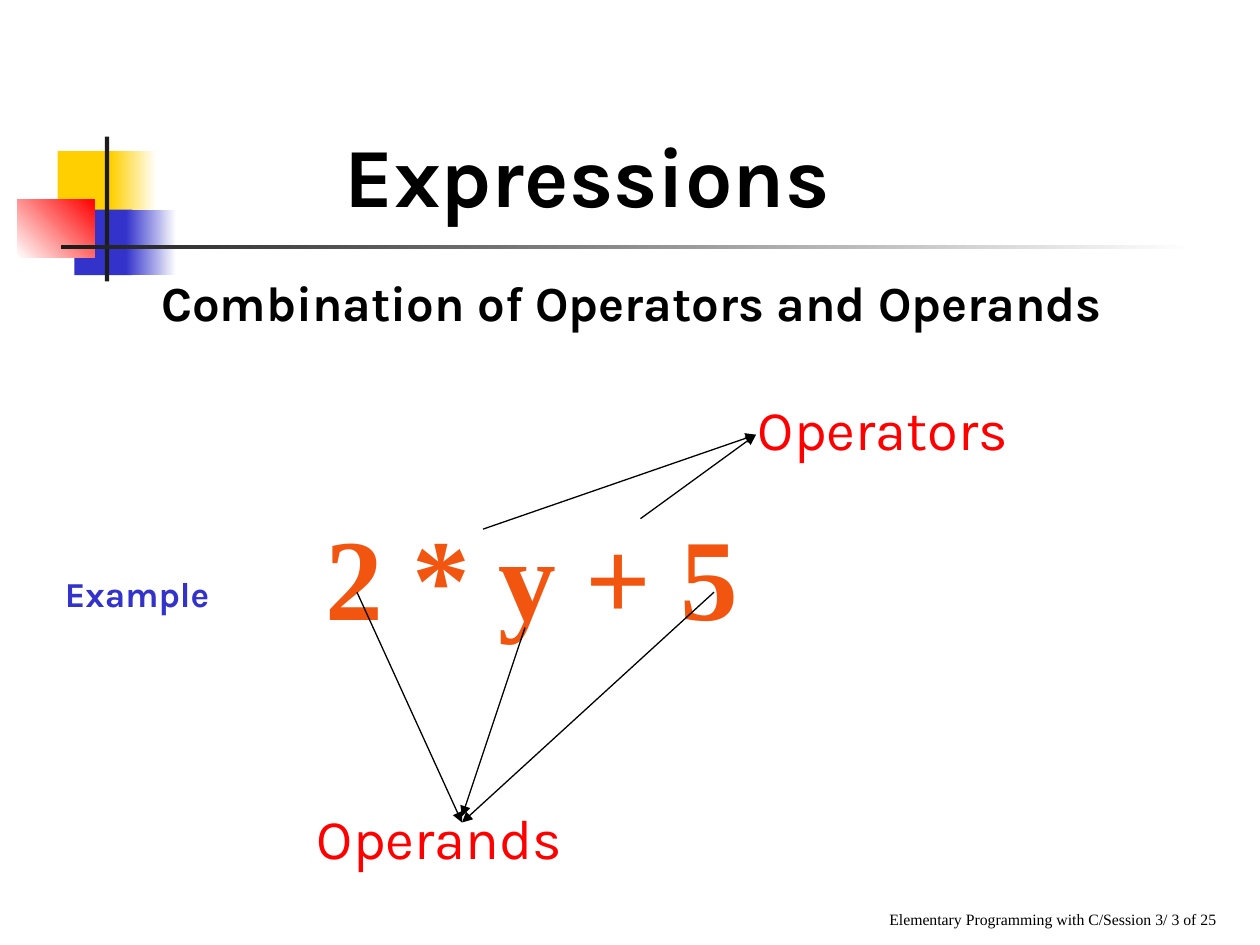
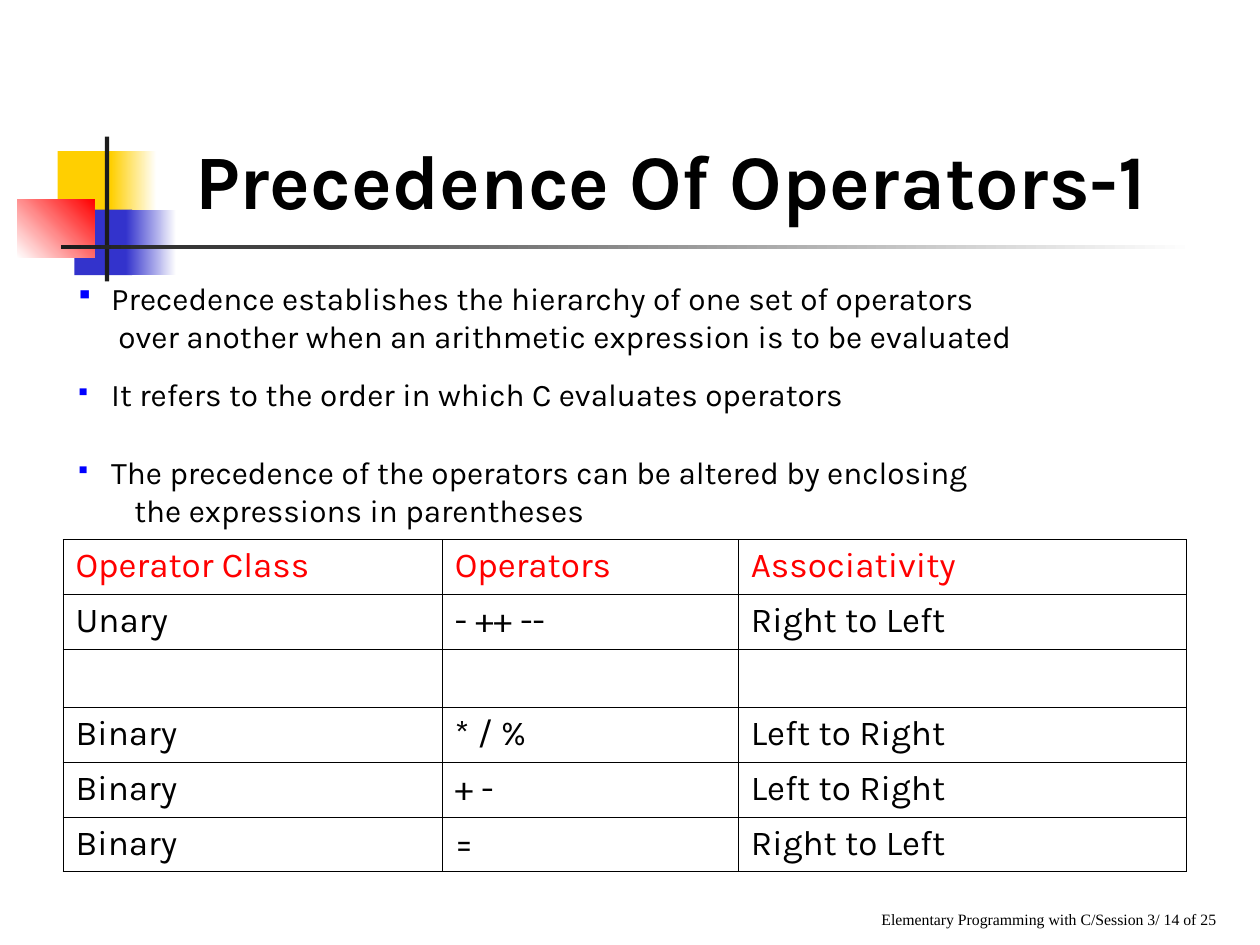
import pptx
import pptx.dml.color
import pptx.enum.shapes
import pptx.enum.text
import pptx.util
from lxml import etree
from pptx.oxml.ns import qn

Pt = pptx.util.Pt
ALIGN = pptx.enum.text.PP_ALIGN
ANCHOR = pptx.enum.text.MSO_ANCHOR

BODY_FONT = "Karla"
SERIF_FONT = "Times New Roman"
BLACK = "000000"
WHITE = "FFFFFF"
CHARCOAL = "1C1C1C"
YELLOW = "FFCF01"
BLUE = "3333CC"
BULLET_BLUE = "0000FF"
RED = "FF0000"
ORANGE = "F1550F"


def color(hex_string):
    return pptx.dml.color.RGBColor.from_string(hex_string)


def add_element(parent, tag, **attributes):
    return etree.SubElement(parent, qn(tag), attributes)


class SlideBuilder:
    """Holds the deck's style and the slide being filled."""

    def __init__(self, deck):
        self.deck = deck
        self.slide = None

    def start_slide(self, number):
        self.slide = self.deck.slides.add_slide(self.deck.slide_layouts[6])
        self.block(33, 86.4, 34.6, 37.4, YELLOW)
        self.block(63.4, 86.4, 26, 37.4, YELLOW, WHITE)
        self.block(42.5, 119.8, 33.1, 37.4, BLUE)
        self.block(72, 119.8, 28.8, 37.4, BLUE, WHITE)
        self.block(9.8, 113.8, 44.2, 33.5, WHITE, RED, angle=45)
        self.block(59.9, 78, 2.5, 82.8, CHARCOAL)
        self.block(34.8, 140, 648, 2.6, CHARCOAL, WHITE)
        self.text(f"Elementary Programming with C/Session 3/ {number} of 25",
                  264, 498, 438, 36, size=9, font=SERIF_FONT,
                  align=ALIGN.RIGHT, anchor=ANCHOR.BOTTOM)

    def block(self, left, top, width, height, start, end=None, angle=0):
        """Draw a rectangle in one colour, or fading from start to end."""
        shape = self.slide.shapes.add_shape(
            pptx.enum.shapes.MSO_SHAPE.RECTANGLE,
            Pt(left), Pt(top), Pt(width), Pt(height))
        shape.shadow.inherit = False
        shape.line.fill.background()
        if end:
            shape.fill.gradient()
            shape.fill.gradient_angle = angle
            for stop, stop_color in zip(shape.fill.gradient_stops, (start, end)):
                stop.color.rgb = color(stop_color)
        else:
            shape.fill.solid()
            shape.fill.fore_color.rgb = color(start)

    def style(self, para, size, font=BODY_FONT, ink=BLACK, bold=False):
        for run in para.runs:
            run.font.size = Pt(size)
            run.font.name = font
            run.font.bold = bold
            run.font.color.rgb = color(ink)

    def text(self, words, left, top, width, height, size, align=ALIGN.LEFT,
             anchor=ANCHOR.TOP, **look):
        box = self.slide.shapes.add_textbox(Pt(left), Pt(top), Pt(width), Pt(height))
        frame = box.text_frame
        frame.word_wrap = True
        frame.vertical_anchor = anchor
        frame.text = words
        for para in frame.paragraphs:
            para.alignment = align
            self.style(para, size, **look)
        return frame

    def bullet(self, words, top, bullet_percent, continuation_indent=0):
        """Write a bulleted line; a second line gets its own indent."""
        frame = self.text(words, 36, top, 684, 30, size=18)
        first, *rest = frame.paragraphs
        properties = first._p.get_or_add_pPr()
        properties.set("marL", str(Pt(20.5)))
        properties.set("indent", str(-Pt(20.5)))
        bullet_color = add_element(properties, "a:buClr")
        add_element(bullet_color, "a:srgbClr", val=BULLET_BLUE)
        add_element(properties, "a:buSzPct", val=str(bullet_percent * 1000))
        add_element(properties, "a:buChar", char="▪")
        for para in rest:
            para._p.get_or_add_pPr().set("marL", str(Pt(continuation_indent)))

    def arrow(self, start, end):
        connector = self.slide.shapes.add_connector(
            pptx.enum.shapes.MSO_CONNECTOR.STRAIGHT,
            *(Pt(value) for value in (*start, *end)))
        connector.line.width = Pt(0.75)
        connector.line.color.rgb = color(BLACK)
        add_element(connector.line._get_or_add_ln(), "a:tailEnd", type="triangle")
        add_element(connector._element.spPr, "a:effectLst")

    def border(self, cell):
        properties = cell._tc.get_or_add_tcPr()
        for side in ("L", "R", "T", "B"):
            line = add_element(properties, f"a:ln{side}", w=str(Pt(0.45)))
            fill = add_element(line, "a:solidFill")
            add_element(fill, "a:srgbClr", val=BLACK)

    def table(self, rows, left, top, widths, heights):
        table = self.slide.shapes.add_table(
            len(rows), len(widths), Pt(left), Pt(top),
            Pt(sum(widths)), Pt(sum(heights))).table
        table.first_row = False
        table.horz_banding = False
        for column, width in zip(table.columns, widths):
            column.width = Pt(width)
        for row, height in zip(table.rows, heights):
            row.height = Pt(height)
        for row_index, row_words in enumerate(rows):
            for column_index, words in enumerate(row_words):
                cell = table.cell(row_index, column_index)
                cell.text = words
                self.style(cell.text_frame.paragraphs[0], 20,
                           ink=BLACK if row_index else RED)
                self.border(cell)
                cell.fill.background()


def build_expressions(builder):
    builder.start_slide(3)
    builder.text("Expressions", 190, 67, 310, 65, size=48, bold=True)
    builder.text("Combination of Operators and Operands", 85, 152, 600, 41,
                 size=28, bold=True)
    builder.text("Example", 30, 323.6, 110, 31, size=20, ink=BLUE, bold=True)
    builder.text("2 * y + 5", 179, 285, 280, 83, size=66, font=SERIF_FONT,
                 ink=ORANGE, bold=True)

    operands_tip = (264, 470)
    for start, end in (((204, 338.4), operands_tip),
                       ((300, 358.6), (264, 466.5)),
                       ((408, 338.4), operands_tip)):
        builder.arrow(start, end)
    builder.text("Operands", 174, 455.8, 262, 46, size=32, ink=RED)

    for start in ((276, 302.4), (366, 296.4)):
        builder.arrow(start, (432, 248.4))
    builder.text("Operators", 426, 221.8, 240, 46, size=32, ink=RED)


def build_precedence(builder):
    builder.start_slide(14)
    builder.text("Precedence Of Operators-1", 104.4, 72, 606, 60.5,
                 size=44, bold=True)
    builder.bullet("Precedence establishes the hierarchy of one set of operators\n"
                   "over another when an arithmetic expression is to be evaluated",
                   156, 80, continuation_indent=24.6)
    builder.bullet("It refers to the order in which C evaluates operators", 211, 67)
    builder.bullet("The precedence of the operators can be altered by enclosing\n"
                   "the expressions in parentheses",
                   255.5, 67, continuation_indent=33.7)
    builder.table([
        ("Operator Class", "Operators", "Associativity"),
        ("Unary", "- ++ --", "Right to Left"),
        ("", "", ""),
        ("Binary", "* / %", "Left to Right"),
        ("Binary", "+ -", "Left to Right"),
        ("Binary", "=", "Right to Left"),
    ], 36, 308.2, (216.7, 169.2, 256.3), (31.4, 31.4, 33.1, 31.4, 31.4, 31.4))


def main():
    deck = pptx.Presentation()
    deck.slide_width = Pt(720)
    deck.slide_height = Pt(540)
    builder = SlideBuilder(deck)
    build_expressions(builder)
    build_precedence(builder)
    deck.save("out.pptx")


if __name__ == "__main__":
    main()
